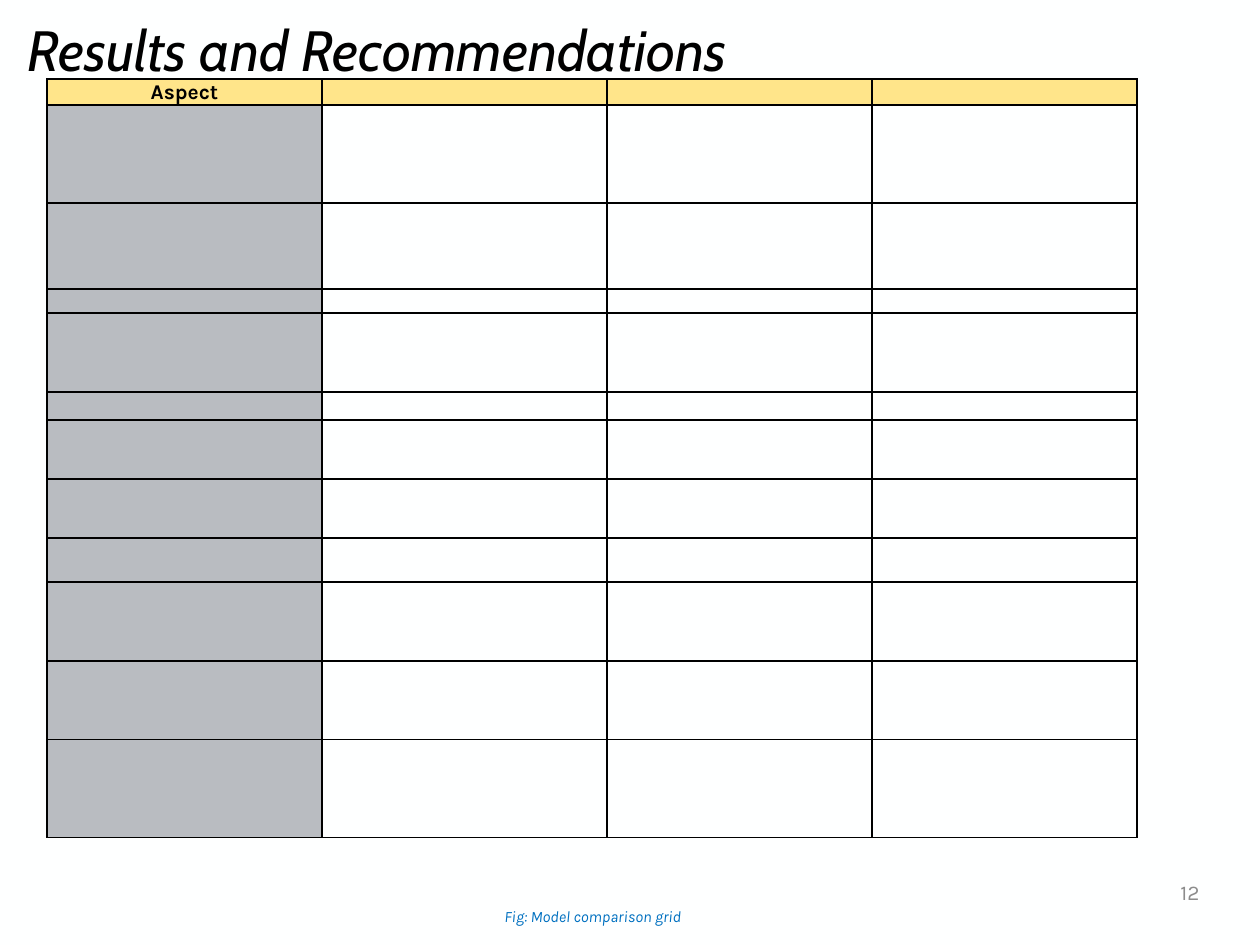
from lxml.etree import SubElement
from pptx import Presentation
from pptx.dml.color import RGBColor
from pptx.enum.text import MSO_ANCHOR, MSO_AUTO_SIZE, PP_ALIGN
from pptx.oxml.ns import qn
from pptx.util import Emu, Pt

TITLE = "Results and Recommendations"
HEADER = ["Aspect", "", "", ""]
CAPTION = "Fig: Model comparison grid"
PAGE = "12"

COL_WIDTHS = [275, 285, 265, 265]
ROW_HEIGHTS = [26, 98, 86, 24, 79, 28, 59, 59, 44, 79, 79, 98]

BLACK = RGBColor(0x00, 0x00, 0x00)
PAPER = RGBColor(0xFE, 0xFF, 0xFF)
YELLOW = RGBColor(0xFF, 0xE5, 0x8A)
GRAY = RGBColor(0xB9, 0xBC, 0xC1)
PAGE_GRAY = RGBColor(0x8C, 0x8C, 0x8C)
BLUE = RGBColor(0x00, 0x70, 0xC0)


def px(n):
    return Emu(round(n * 914400 / 126))


def write(tf, text, size=12, font="Karla", color=BLACK, bold=False, italic=False,
          align=PP_ALIGN.LEFT, anchor=MSO_ANCHOR.TOP, spacing=None):
    tf.word_wrap = True
    tf.auto_size = MSO_AUTO_SIZE.NONE
    tf.vertical_anchor = anchor
    p = tf.paragraphs[0]
    p.alignment = align
    p.line_spacing = spacing
    r = p.add_run()
    r.text = text
    r.font.size = Pt(size)
    r.font.name = font
    r.font.color.rgb = color
    r.font.bold = bold
    r.font.italic = italic


def add_text(s, box, text, **fmt):
    sp = s.shapes.add_textbox(*map(px, box))
    write(sp.text_frame, text, **fmt)


def add_borders(cell):
    tcPr = cell._tc.get_or_add_tcPr()
    for i, side in enumerate(("lnL", "lnR", "lnT", "lnB")):
        ln = tcPr.makeelement(qn(f"a:{side}"), {"w": str(Pt(1))})
        fill = SubElement(ln, qn("a:solidFill"))
        SubElement(fill, qn("a:srgbClr"), val=str(BLACK))
        tcPr.insert(i, ln)


def add_grid(s, left, top):
    shape = s.shapes.add_table(len(ROW_HEIGHTS), len(COL_WIDTHS), px(left), px(top),
                               px(sum(COL_WIDTHS)), px(sum(ROW_HEIGHTS)))
    table = shape.table
    table.first_row = table.horz_banding = False
    for col, width in zip(table.columns, COL_WIDTHS):
        col.width = px(width)
    for i, (row, height) in enumerate(zip(table.rows, ROW_HEIGHTS)):
        row.height = px(height)
        for j, cell in enumerate(row.cells):
            cell.margin_left = cell.margin_right = cell.margin_top = px(1)
            cell.margin_bottom = 0
            cell.vertical_anchor = MSO_ANCHOR.MIDDLE
            cell.fill.solid()
            cell.fill.fore_color.rgb = YELLOW if i == 0 else GRAY if j == 0 else PAPER
            add_borders(cell)
            p = cell.text_frame.paragraphs[0]
            if i == 0 and HEADER[j]:
                write(cell.text_frame, HEADER[j], bold=True, align=PP_ALIGN.CENTER)
            else:
                SubElement(p._p, qn("a:endParaRPr"), sz="800")


def main():
    prs = Presentation()
    prs.slide_width, prs.slide_height = px(1260), px(945)
    s = prs.slides.add_slide(prs.slide_layouts[5])
    s.background.fill.solid()
    s.background.fill.fore_color.rgb = PAPER

    title = s.shapes.title
    title.left, title.top, title.width, title.height = map(px, (15, 13, 1230, 80))
    write(title.text_frame, TITLE, size=32.4, font="Cabin", italic=True,
          anchor=MSO_ANCHOR.MIDDLE, spacing=0.9)

    add_text(s, (1061, 867, 151, 50), PAGE, color=PAGE_GRAY,
             align=PP_ALIGN.RIGHT, anchor=MSO_ANCHOR.MIDDLE)
    add_grid(s, 47, 79)
    add_text(s, (492, 901, 366, 32), CAPTION, size=9, color=BLUE, italic=True)
    prs.save("out.pptx")


if __name__ == "__main__":
    main()
